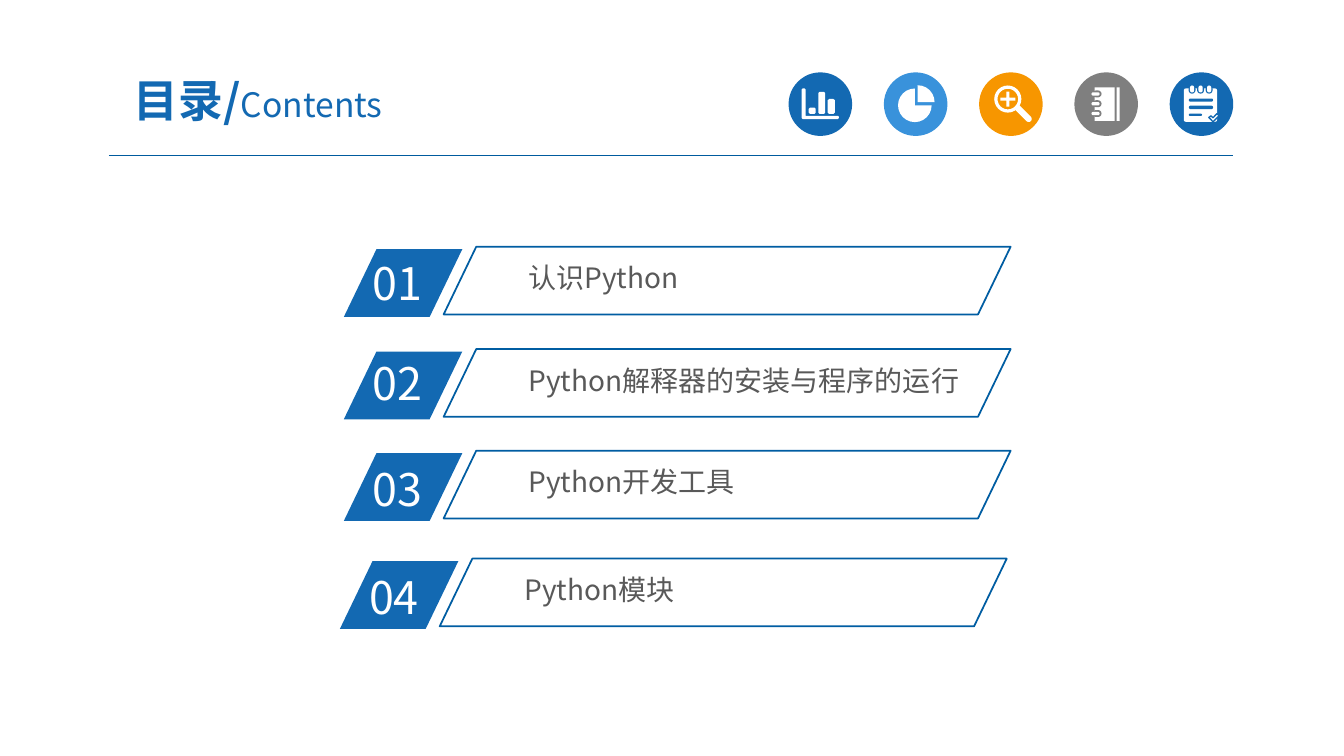
from dataclasses import dataclass

from lxml import etree
from pptx import Presentation
from pptx.dml.color import RGBColor
from pptx.enum import shapes, text
from pptx.oxml import ns
from pptx.util import Pt


@dataclass(frozen=True)
class Theme:
    blue: str = "1369B2"
    sky: str = "3992DB"
    orange: str = "F79600"
    gray: str = "7F7F7F"
    rule: str = "005B9E"
    frame: str = "005DA2"
    body: str = "595959"
    white: str = "FFFFFF"
    font: str = "Noto Sans CJK SC"
    heading: int = 32
    subheading: int = 24
    entry: int = 20


theme = Theme()
Kind = shapes.MSO_SHAPE


def add_figure(kind, left, top, width, height, fill=None, line=None, adjust=()):
    figure = page.shapes.add_shape(kind, Pt(left), Pt(top), Pt(width), Pt(height))
    figure.shadow.inherit = False
    for index, value in enumerate(adjust):
        figure.adjustments[index] = value
    if fill:
        figure.fill.solid()
        figure.fill.fore_color.rgb = RGBColor.from_string(fill)
    else:
        figure.fill.background()
    if line:
        figure.line.color.rgb = RGBColor.from_string(line)
        figure.line.width = Pt(1.25)
    else:
        figure.line.fill.background()
    return figure


def add_text(left, top, width, height, inset, spans):
    box = page.shapes.add_textbox(Pt(left), Pt(top), Pt(width), Pt(height))
    frame = box.text_frame
    frame.word_wrap = True
    frame.margin_left = frame.margin_right = Pt(inset)
    frame.margin_top = frame.margin_bottom = Pt(inset / 2)
    para = frame.paragraphs[0]
    for words, size, color, bold in spans:
        span = para.add_run()
        span.text = words
        span.font.name = theme.font
        span.font.size = Pt(size)
        span.font.bold = bold
        span.font.color.rgb = RGBColor.from_string(color)
        east_asian = etree.SubElement(span.font._element, ns.qn("a:ea"))
        east_asian.set("typeface", theme.font)
    return frame


deck = Presentation()
deck.slide_width, deck.slide_height = Pt(960), Pt(540)
page = deck.slides.add_slide(deck.slide_layouts[6])

rule = page.shapes.add_connector(shapes.MSO_CONNECTOR.STRAIGHT, Pt(77.8), Pt(111.4), Pt(880.6), Pt(111.4))
rule.line.color.rgb = RGBColor.from_string(theme.rule)
rule.line.width = Pt(0.75)
etree.SubElement(rule._element.spPr, ns.qn("a:effectLst"))

pie_chart = [
    (Kind.PIE, 10.1, 11.5, 24, 24, theme.white, None, (0, 162)),
    (Kind.PIE, 12.2, 9.2, 24, 24, theme.white, None, (162, 0)),
]

magnifier = [
    (Kind.DONUT, 10.8, 9.4, 19.4, 19.4, theme.white, None, (0.12,)),
    (Kind.CROSS, 15.1, 13.7, 10.8, 10.8, theme.white, None, (0.4,)),
    (Kind.ROUNDED_RECTANGLE, 23.8, 27.2, 15.4, 4.4, theme.white, None, (0.5,)),
]

notebook = [
    (Kind.RECTANGLE, 14.4, 10.8, 14.4, 23.8, theme.white),
    (Kind.RECTANGLE, 30.2, 10.8, 2.2, 23.8, theme.white),
]
notepad = [(Kind.ROUNDED_RECTANGLE, 10.1, 11.5, 23.8, 23.8, theme.white, None, (0.06,))]
for ring in range(3):
    notebook += [
        (Kind.ROUNDED_RECTANGLE, 13, 12.9 + 7 * ring, 6.4, 5, theme.gray, None, (0.5,)),
        (Kind.ROUNDED_RECTANGLE, 12.2, 14.2 + 7 * ring, 5.8, 2.4, theme.white, None, (0.5,)),
    ]
    notepad += [
        (Kind.ROUNDED_RECTANGLE, 13.5 + 6.1 * ring, 9.4, 5, 5.8, theme.blue, None, (0.5,)),
        (Kind.ROUNDED_RECTANGLE, 14.5 + 6.1 * ring, 9.4, 3, 5, theme.white, None, (0.5,)),
    ]
for top, width, height in ((18.7, 17.3, 2.2), (23.8, 17.3, 2.5), (29.5, 9.4, 1.6)):
    notepad.append((Kind.ROUNDED_RECTANGLE, 13.7, top, width, height, theme.blue, None, (0.5,)))

icons = [
    (theme.blue, []),
    (theme.sky, pie_chart),
    (theme.orange, magnifier),
    (theme.gray, notebook),
    (theme.blue, notepad),
]
icons_left, icon_top, icon_pitch = 563.3, 51.7, 68.05
for position, (color, parts) in enumerate(icons):
    icon_left = icons_left + icon_pitch * position
    add_figure(Kind.OVAL, icon_left, icon_top, 45.4, 45.4, color)
    for kind, left, top, *rest in parts:
        part = add_figure(kind, icon_left + left, icon_top + top, *rest)
        if parts is magnifier and kind == Kind.ROUNDED_RECTANGLE:
            part.rotation = 45

bar_chart = [[
    (9.4, 12.2), (10.1, 11.5), (11.5, 11.5), (12.2, 12.2), (12.2, 31),
    (35.3, 31), (36, 31.7), (36, 32.6), (35.3, 33.3), (10.1, 33.3), (9.4, 32.6),
]]
for column, height in enumerate((4.6, 15.8, 10.8)):
    left, bottom = 14.4 + 6.8 * column, 29.7
    right, top = left + 5, bottom - height
    bar_chart.append([
        (left, top + 1), (left + 1, top), (right - 1, top), (right, top + 1),
        (right, bottom - 1), (right - 1, bottom), (left + 1, bottom), (left, bottom - 1),
    ])
tick = [[(28, 32.2), (29.5, 31), (31, 32.4), (33.8, 29.5), (35.3, 31), (31, 35.3)]]

for position, contours in ((0, bar_chart), (4, tick)):
    icon_left = icons_left + icon_pitch * position
    paths = [[(Pt(icon_left + x), Pt(icon_top + y)) for x, y in contour] for contour in contours]
    builder = page.shapes.build_freeform(*paths[0][0], scale=1.0)
    for start, *others in paths:
        if start != paths[0][0]:
            builder.move_to(*start)
        builder.add_line_segments(others, close=True)
    outline = builder.convert_to_shape()
    outline.shadow.inherit = False
    outline.fill.solid()
    outline.fill.fore_color.rgb = RGBColor.from_string(theme.white)
    if contours is tick:
        outline.line.color.rgb = RGBColor.from_string(theme.blue)
        outline.line.width = Pt(1)
    else:
        outline.line.fill.background()

heading = add_text(66, 45.4, 236.9, 51.8, 9.4, [
    ("目录/", theme.heading, theme.blue, True),
    ("Contents", theme.subheading, theme.blue, False),
])
heading.vertical_anchor = text.MSO_ANCHOR.MIDDLE
heading.paragraphs[0].alignment = text.PP_ALIGN.CENTER

slant = (0.482,)
entries = [
    ("01", "认识Python", 245.6, 178, 1.2),
    ("02", "Python解释器的安装与程序的运行", 245.6, 251.1, -0.6),
    ("03", "Python开发工具", 245.6, 323.7, 2.5),
    ("04", "Python模块", 242.8, 400.8, 2.7),
]
for number, title, left, top, number_drop in entries:
    add_figure(Kind.PARALLELOGRAM, left, top, 84.6, 48.4, theme.blue, None, slant)
    label = add_text(left + 13.7, top + number_drop, 80.6, 46.1, 7.2,
                     [(number, theme.heading, theme.white, False)])
    caption = add_text(left + 126.7, top + 5.6, 340.6, 29.5, 5.2,
                       [(title, theme.entry, theme.body, False)])
    label.auto_size = caption.auto_size = text.MSO_AUTO_SIZE.SHAPE_TO_FIT_TEXT
    add_figure(Kind.PARALLELOGRAM, left + 71.3, top - 1.8, 405, 48.4, None, theme.frame, slant)

deck.save("out.pptx")
